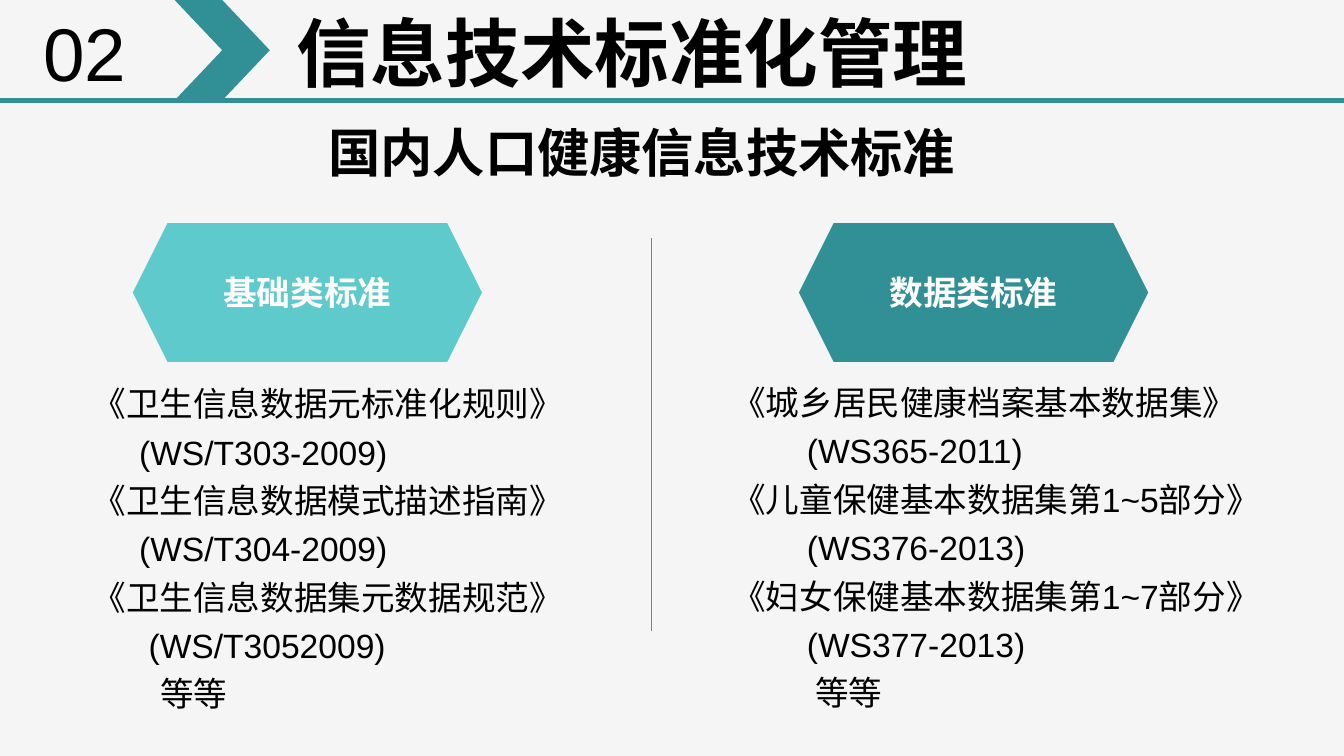
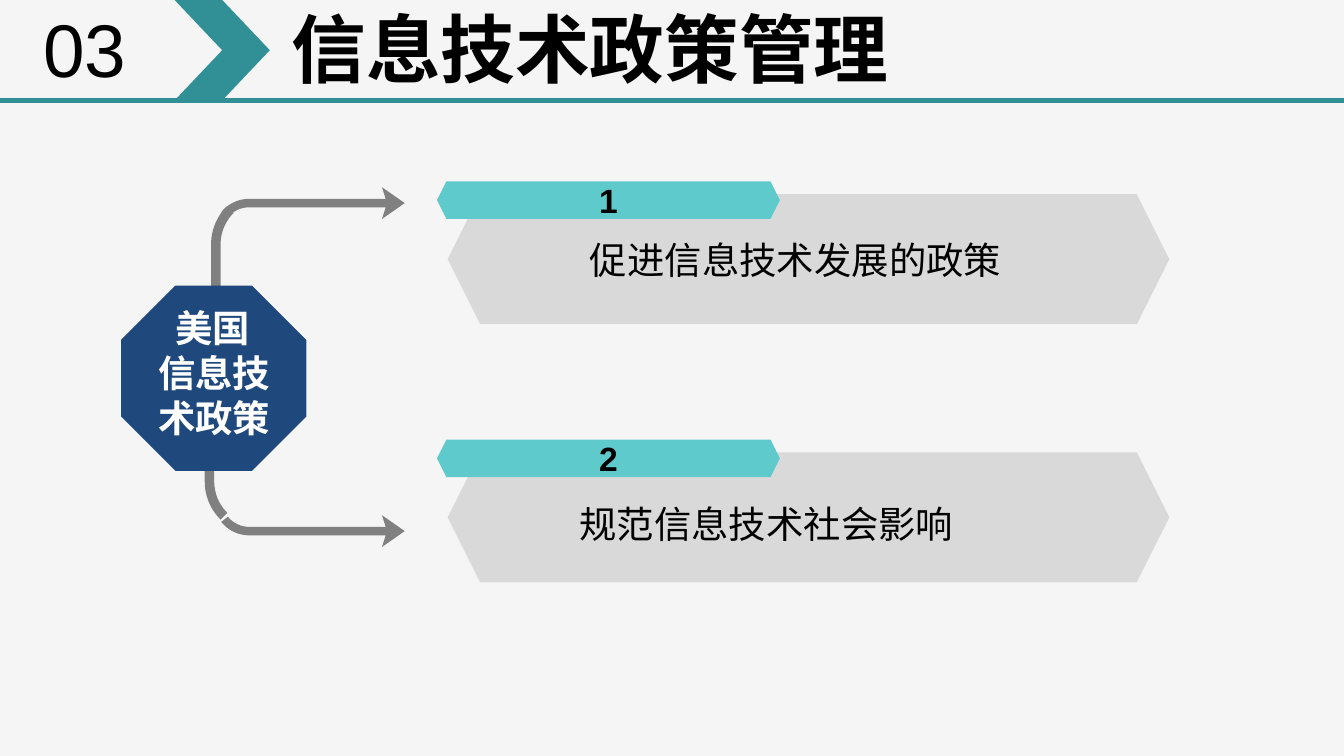
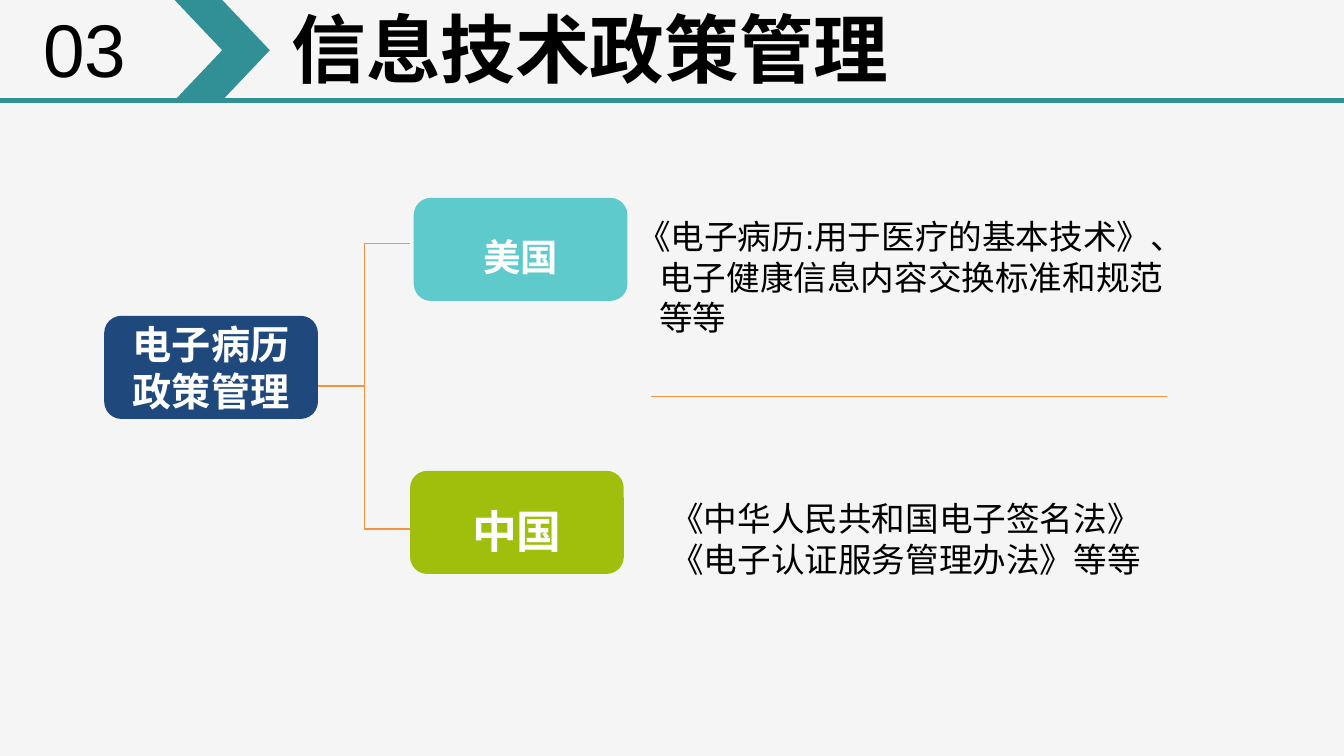
from math import cos, radians, sin

from lxml import etree
from pptx import Presentation
from pptx.dml.color import RGBColor
from pptx.enum.shapes import MSO_CONNECTOR, MSO_SHAPE
from pptx.enum.text import MSO_ANCHOR, PP_ALIGN
from pptx.oxml.ns import qn
from pptx.util import Cm, Pt

HEXAGON, OCTAGON = MSO_SHAPE.HEXAGON, MSO_SHAPE.OCTAGON
CHEVRON, ROUNDED = MSO_SHAPE.CHEVRON, MSO_SHAPE.ROUNDED_RECTANGLE
STRAIGHT, ELBOW = MSO_CONNECTOR.STRAIGHT, MSO_CONNECTOR.ELBOW
LEFT, CENTER = PP_ALIGN.LEFT, PP_ALIGN.CENTER
TOP, MIDDLE = MSO_ANCHOR.TOP, MSO_ANCHOR.MIDDLE

FONT = "Arial"
PAPER, BLACK, WHITE = "F5F5F5", "000000", "FFFFFF"
TEAL, AQUA, NAVY, GREEN = "319095", "5FCACB", "1F497D", "A0BF0D"
GRAY, SILVER, ORANGE = "808080", "D9D9D9", "F69240"
TITLE_SIZE, SUBTITLE_SIZE, CORE_SIZE, BODY_SIZE = 40, 28, 20, 18
SLIDE_WIDTH, SLIDE_HEIGHT, BAND_HEIGHT = 25.4, 14.29, 1.9
TIGHT_INSETS, NORMAL_INSETS = (0.2, 0.1), (0.25, 0.13)
TAB_INSETS, CARD_INSETS = (0.28, 0.15), (0.18, 0.1)

STANDARDS_HEADER = {"number": "02", "title": "信息技术标准化管理", "left": 5.4, "top": 0.03}
POLICY_HEADER = {"number": "03", "title": "信息技术政策管理", "left": 5.31, "top": -0.05}

STANDARDS_SUBTITLE = "国内人口健康信息技术标准"
STANDARDS = [
    {"heading": "基础类标准", "color": AQUA, "list_at": (1.5, 6.96), "list_width": 9.6,
     "entries": [
         ("《卫生信息数据元标准化规则》", 0),
         ("(WS/T303-2009)", 0.88),
         ("《卫生信息数据模式描述指南》", 0),
         ("(WS/T304-2009)", 0.88),
         ("《卫生信息数据集元数据规范》", 0),
         ("(WS/T3052009)", 1.06),
         ("等等", 1.28)]},
    {"heading": "数据类标准", "color": TEAL, "list_at": (13.59, 6.94), "list_width": 12.7,
     "entries": [
         ("《城乡居民健康档案基本数据集》", 0),
         ("(WS365-2011)", 1.41),
         ("《儿童保健基本数据集第1~5部分》", 0),
         ("(WS376-2013)", 1.41),
         ("《妇女保健基本数据集第1~7部分》", 0),
         ("(WS377-2013)", 1.41),
         ("等等", 1.57)]},
]

POLICY_CORE = [("美国", 0.32), ("信息技术政策", 0)]
POLICIES = [
    {"text": "促进信息技术发展的政策", "left": 10.9, "drop": 0.69},
    {"text": "规范信息技术社会影响", "left": 10.7, "drop": 0.8},
]

RECORD_ROOT = "电子病历政策管理"
RECORD_BRANCHES = [
    {"country": "美国", "color": AQUA, "size": 20, "side": -1,
     "card_at": (7.82, 3.74), "laws_at": (11.79, 3.96), "laws_size": (11.3, 3.33),
     "laws": [("《电子病历:用于医疗的基本技术》、", 0),
              ("电子健康信息内容交换标准和规范", 0.42),
              ("等等", 0.42)]},
    {"country": "中国", "color": GREEN, "size": 24, "side": 1,
     "card_at": (7.75, 8.9), "laws_at": (12.42, 9.29), "laws_size": (9.5, 1.8),
     "laws": [("《中华人民共和国电子签名法》", 0),
              ("《电子认证服务管理办法》等等", 0)]},
]


def rgb(value):
    return RGBColor.from_string(value)


def write(shape, lines, size, color=BLACK, bold=False, align=LEFT,
          anchor=TOP, insets=NORMAL_INSETS, spacing=None):
    frame = shape.text_frame
    frame.word_wrap = True
    frame.vertical_anchor = anchor
    frame.margin_left = frame.margin_right = Cm(insets[0])
    frame.margin_top = frame.margin_bottom = Cm(insets[1])
    if isinstance(lines, str):
        lines = [(lines, 0)]
    for index, (line, indent) in enumerate(lines):
        paragraph = frame.add_paragraph() if index else frame.paragraphs[0]
        paragraph.text = line
        paragraph.alignment = align
        if spacing:
            paragraph.line_spacing = spacing
        if indent:
            paragraph._p.get_or_add_pPr().set("marL", str(Cm(indent)))
        font = paragraph.font
        font.name, font.size, font.bold = FONT, Pt(size), bold
        font.color.rgb = rgb(color)


def add_text(slide, box, lines, size, **style):
    write(slide.shapes.add_textbox(*map(Cm, box)), lines, size, **style)


def paint(shape, color):
    shape.shadow.inherit = False
    shape.fill.solid()
    shape.fill.fore_color.rgb = rgb(color)
    shape.line.fill.background()


def add_block(slide, preset, box, fill, label=None, size=BODY_SIZE,
              color=WHITE, insets=TIGHT_INSETS, spacing=None):
    block = slide.shapes.add_shape(preset, *map(Cm, box))
    paint(block, fill)
    if label:
        write(block, label, size, color=color, bold=True, align=CENTER,
              anchor=MIDDLE, insets=insets, spacing=spacing)


def add_line(slide, start, end, color, width, kind=STRAIGHT):
    line = slide.shapes.add_connector(kind, *map(Cm, start + end))
    line.line.color.rgb = rgb(color)
    line.line.width = Pt(width)
    etree.SubElement(line._element.spPr, qn("a:effectLst"))


def add_outline(slide, points, color):
    corners = [(Cm(x), Cm(y)) for x, y in points]
    builder = slide.shapes.build_freeform(*corners[0])
    builder.add_line_segments(corners[1:], close=True)
    paint(builder.convert_to_shape(), color)


def arc(center, radius, start, end, steps=12):
    angles = [radians(start + (end - start) * step / steps) for step in range(steps + 1)]
    return [(center[0] + radius * cos(angle), center[1] + radius * sin(angle))
            for angle in angles]


def stem_outline():
    center, outer, inner, foot = (5.01, 4.62), 1.02, 0.84, 7.16
    return (arc(center, inner, 225, 180)
            + [(center[0] - inner, foot), (center[0] - outer, foot)]
            + arc(center, outer, 180, 225))


def arrow_outline():
    center, outer, inner = (4.71, 4.44), 0.68, 0.52
    shaft_top, shaft_bottom = center[1] - outer, center[1] - inner
    axis = (shaft_top + shaft_bottom) / 2
    tip, barb, notch, half_head = 7.65, 7.22, 7.29, 0.3
    head = [(notch, shaft_top), (barb, axis - half_head), (tip, axis),
            (barb, axis + half_head), (notch, shaft_bottom)]
    return head + arc(center, inner, 270, 219) + arc(center, outer, 219, 270)


def mirror(points, axis, shift=0):
    return [(x + shift, 2 * axis - y) for x, y in points]


def add_slide(deck, header):
    slide = deck.slides.add_slide(deck.slide_layouts[6])
    slide.background.fill.solid()
    slide.background.fill.fore_color.rgb = rgb(PAPER)
    add_line(slide, (0, BAND_HEIGHT), (SLIDE_WIDTH, BAND_HEIGHT), TEAL, 2.25)
    add_text(slide, (header["left"], header["top"], 17.1, 1.93), header["title"],
             TITLE_SIZE, bold=True, insets=TIGHT_INSETS)
    add_block(slide, CHEVRON, (3.3, 0, 1.8, BAND_HEIGHT), TEAL)
    add_text(slide, (0.62, header["top"], 2.02, 1.93), header["number"],
             TITLE_SIZE, insets=TIGHT_INSETS)
    return slide


def build_standards(deck):
    slide = add_slide(deck, STANDARDS_HEADER)
    add_text(slide, (5.96, 2.14, 12.55, 1.45), STANDARDS_SUBTITLE, SUBTITLE_SIZE, bold=True)
    add_line(slide, (12.3, 4.49), (12.3, 11.93), GRAY, 0.25)
    first_left, pitch, list_height = 2.51, 12.59, 6.73
    for column, group in enumerate(STANDARDS):
        heading_box = (first_left + pitch * column, 4.22, 6.6, 2.62)
        add_block(slide, HEXAGON, heading_box, group["color"], group["heading"])
        list_box = group["list_at"] + (group["list_width"], list_height)
        add_text(slide, list_box, group["entries"], BODY_SIZE, spacing=1.2)


def build_policies(deck):
    slide = add_slide(deck, POLICY_HEADER)
    stem, arrow = stem_outline(), arrow_outline()
    add_outline(slide, mirror(stem, axis=6.86, shift=-0.12), GRAY)
    add_outline(slide, stem, GRAY)
    add_outline(slide, arrow, GRAY)
    add_outline(slide, mirror(arrow, axis=6.94), GRAY)
    add_block(slide, OCTAGON, (2.29, 5.4, 3.5, 3.5), NAVY)
    add_text(slide, (2.74, 5.64, 2.97, 2.82), POLICY_CORE, CORE_SIZE, color=WHITE, bold=True)
    first_top, pitch, tab_rise = 3.67, 4.88, 0.24
    for row, policy in enumerate(POLICIES):
        top = first_top + pitch * row
        add_block(slide, HEXAGON, (8.46, top, 13.64, 2.46), SILVER)
        add_block(slide, HEXAGON, (8.26, top - tab_rise, 6.48, 0.71), AQUA,
                  str(row + 1), color=BLACK, insets=TAB_INSETS)
        add_text(slide, (policy["left"], top + policy["drop"], 11.2, 1.57),
                 policy["text"], CORE_SIZE)


def build_records(deck):
    slide = add_slide(deck, POLICY_HEADER)
    card_size, root_joint, branch_left, branch_reach = (4.04, 1.95), (6.02, 7.3), 7.75, 2.7
    add_block(slide, ROUNDED, (1.97, 5.97) + card_size, NAVY, RECORD_ROOT, 21,
              insets=CARD_INSETS)
    for branch in RECORD_BRANCHES:
        add_block(slide, ROUNDED, branch["card_at"] + card_size, branch["color"],
                  branch["country"], branch["size"], insets=CARD_INSETS, spacing=1.3)
        branch_joint = (branch_left, root_joint[1] + branch["side"] * branch_reach)
        add_line(slide, root_joint, branch_joint, ORANGE, 0.75, ELBOW)
        add_text(slide, branch["laws_at"] + branch["laws_size"], branch["laws"], BODY_SIZE)
    add_line(slide, (12.3, 7.49), (22.05, 7.49), ORANGE, 0.75)


def main():
    deck = Presentation()
    deck.slide_width, deck.slide_height = Cm(SLIDE_WIDTH), Cm(SLIDE_HEIGHT)
    build_standards(deck)
    build_policies(deck)
    build_records(deck)
    deck.save("out.pptx")


if __name__ == "__main__":
    main()
